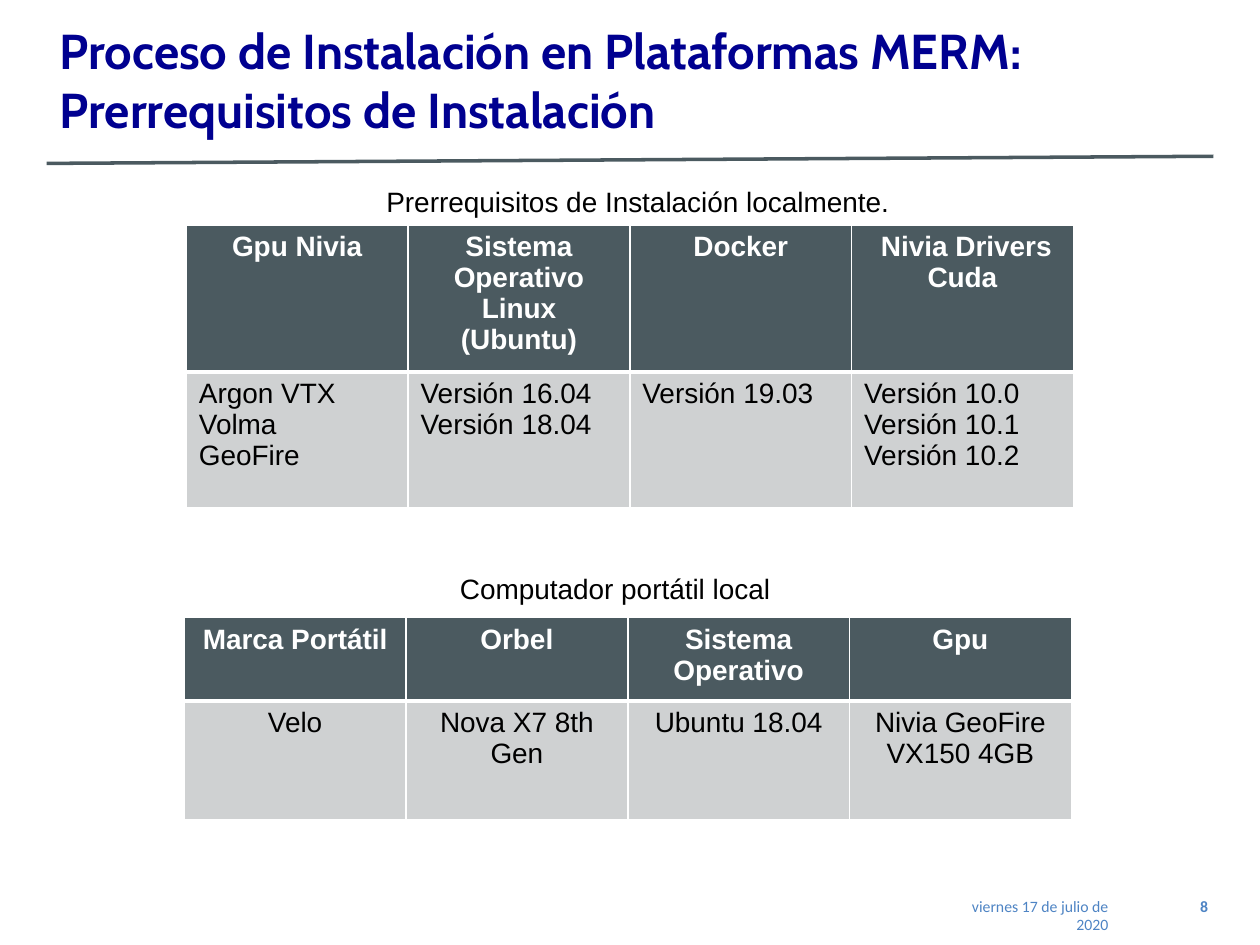
"""Build the slide on installation prerequisites with its two tables."""
from lxml.etree import SubElement as Sub
from pptx import Presentation
from pptx.dml.color import RGBColor as RGB
from pptx.enum.shapes import MSO_CONNECTOR as Conn
from pptx.enum.text import MSO_ANCHOR as Anchor, PP_ALIGN as Align
from pptx.oxml.ns import qn
from pptx.util import Pt

HEX = {"navy": "000090", "slate": "4B5A60", "gray": "CFD1D2",
       "blue": "4E84C4", "white": "FFFFFF", "black": "000000"}


def style(frame, size, face, color, bold=False, align=Align.LEFT):
    for para in frame.paragraphs:
        para.alignment = align
        for run in para.runs:
            font = run.font
            font.size, font.name, font.bold = Pt(size), face, bold
            font.color.rgb = RGB.from_string(HEX[color])


def border(cell, side, width):
    props = cell._tc.get_or_add_tcPr()
    line = Sub(props, qn(f"a:ln{side}"), w=str(Pt(width)))
    fill = Sub(line, qn("a:solidFill"))
    Sub(fill, qn("a:srgbClr"), val=HEX["white"])


deck = Presentation()
deck.slide_width, deck.slide_height = Pt(720), Pt(540)
slide = deck.slides.add_slide(deck.slide_layouts[5])
shapes = slide.shapes

title = shapes.title
title.left, title.top, title.width, title.height = Pt(27), Pt(21.8), Pt(664.6), Pt(46.8)
frame = title.text_frame
frame.text = "Proceso de Instalación en Plataformas MERM: Prerrequisitos de Instalación"
frame.vertical_anchor = Anchor.MIDDLE
style(frame, 28, "Cabin", "navy", True)

rule = shapes.add_connector(Conn.STRAIGHT, Pt(26.6), Pt(93.4), Pt(693.4), Pt(89.3))
rule.line.width = Pt(2)
rule.line.color.rgb = RGB.from_string(HEX["slate"])
Sub(rule._element.spPr, qn("a:effectLst"))

labels = [
    ("Prerrequisitos de Instalación localmente.", 198.5, 101.9, 331.9, 25.2,
     (16, "Arial", "black", False, Align.CENTER)),
    ("Computador portátil local", 198.5, 323.3, 306, 25.2,
     (16, "Arial", "black", False, Align.CENTER)),
    ("viernes 17 de julio de 2020", 529.5, 508.6, 110.9, 25.2,
     (9, "Calibri", "blue", False, Align.RIGHT)),
    ("8", 667.2, 509, 30.2, 20.9, (9, "Calibri", "blue", True, Align.RIGHT)),
]
for text, left, top, width, height, look in labels:
    box = shapes.add_textbox(Pt(left), Pt(top), Pt(width), Pt(height))
    box.text_frame.word_wrap = True
    box.text_frame.text = text
    style(box.text_frame, *look)

tables = [
    (106.5, 128.6, (83.3, 77.4), Align.LEFT, [
        ("Gpu Nivia", "Sistema Operativo Linux (Ubuntu)", "Docker",
         " Nivia Drivers Cuda"),
        ("Argon VTX\nVolma\nGeoFire", "Versión 16.04\nVersión 18.04",
         "Versión 19.03", "Versión 10.0\nVersión 10.1\nVersión 10.2")]),
    (105.3, 353, (47.6, 67.6), Align.CENTER, [
        ("Marca Portátil", "Orbel", "Sistema Operativo", "Gpu"),
        ("Velo", "Nova X7 8th Gen", "Ubuntu 18.04", "Nivia GeoFire VX150 4GB")]),
]
for left, top, heights, align, rows in tables:
    table = shapes.add_table(2, 4, Pt(left), Pt(top), Pt(506.9), Pt(sum(heights))).table
    for col in table.columns:
        col.width = Pt(126.72)
    for r, texts in enumerate(rows):
        head = r == 0
        table.rows[r].height = Pt(heights[r])
        for c, text in enumerate(texts):
            cell = table.cell(r, c)
            cell.text_frame.text = text
            for side in "LRTB":
                joint = side == ("B" if head else "T")
                border(cell, side, 3 if joint else 0.96)
            cell.fill.solid()
            cell.fill.fore_color.rgb = RGB.from_string(HEX["slate" if head else "gray"])
            style(cell.text_frame, 16, "Arial", "white" if head else "black",
                  head, Align.CENTER if head else align)

deck.save("out.pptx")
